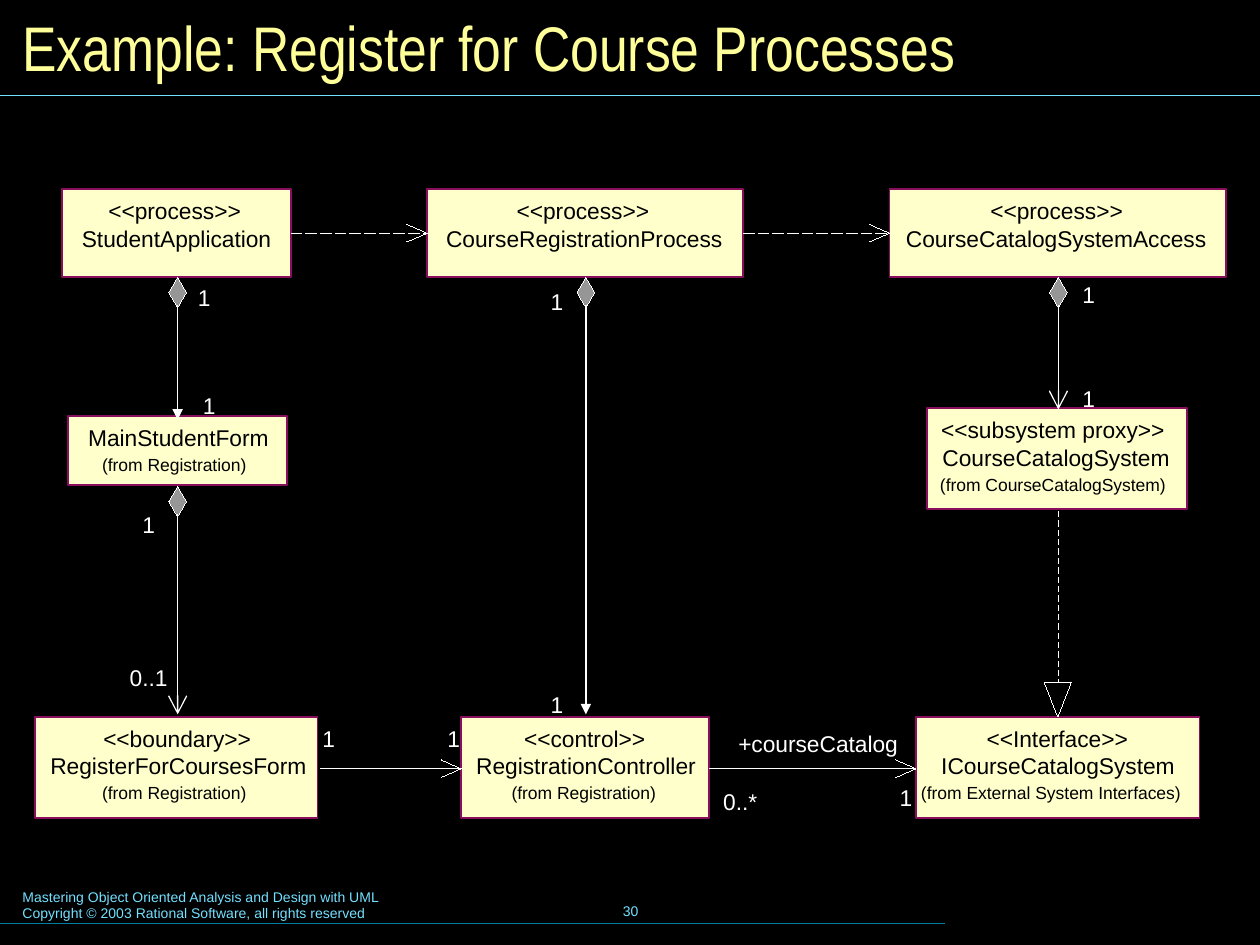
"""Build a UML process diagram slide for course registration."""
from pptx import Presentation
from pptx.dml.color import RGBColor
from pptx.enum.dml import MSO_LINE
from pptx.enum.shapes import MSO_CONNECTOR, MSO_SHAPE
from pptx.enum.text import MSO_ANCHOR, MSO_AUTO_SIZE, PP_ALIGN
from pptx.oxml.ns import qn
from pptx.util import Inches, Pt
from lxml import etree

RECT, DIAMOND, MERGE = MSO_SHAPE.RECTANGLE, MSO_SHAPE.DIAMOND, MSO_SHAPE.FLOWCHART_MERGE
STRAIGHT = MSO_CONNECTOR.STRAIGHT
DASH, LONG = MSO_LINE.DASH, MSO_LINE.LONG_DASH
TOP, MIDDLE = MSO_ANCHOR.TOP, MSO_ANCHOR.MIDDLE
LEFT, CENTER = PP_ALIGN.LEFT, PP_ALIGN.CENTER
GROW, FIXED = MSO_AUTO_SIZE.SHAPE_TO_FIT_TEXT, MSO_AUTO_SIZE.NONE

COLORS = {"back": "000000", "title": "FFFF99", "sky": "73E1FF", "teal": "007E9F",
          "box": "FFFFCC", "edge": "8A0E5E", "ink": "000000", "white": "FFFFFF",
          "gray": "969696"}

TITLE = "Example: Register for Course Processes"
FOOTER = ["Mastering Object Oriented Analysis and Design with UML",
          "Copyright © 2003 Rational Software, all rights reserved"]
PAGE = "30"

BOXES = [
    ((3.39, 1.5, 2.51, 0.7), [("<<process>>", 4.1, 1.05),
                              ("CourseRegistrationProcess", 3.54, 2.19)]),
    ((0.49, 1.5, 1.82, 0.7), [("<<process>>", 0.86, 1.05),
                              ("StudentApplication", 0.65, 1.5)]),
    ((7.36, 3.24, 2.06, 0.8), [("<<subsystem proxy>>", 7.47, 1.77),
                               ("CourseCatalogSystem", 7.48, 1.8),
                               ("(from CourseCatalogSystem)", 7.46, 1.79)]),
    ((0.28, 5.69, 2.24, 0.8), [("<<boundary>>", 0.82, 1.17),
                               ("RegisterForCoursesForm", 0.4, 2.03),
                               ("(from Registration)", 0.81, 1.15)]),
    ((0.54, 3.3, 1.74, 0.55), [("MainStudentForm", 0.7, 1.43),
                               ("(from Registration)", 0.81, 1.15)]),
    ((3.66, 5.69, 1.97, 0.8), [("<<control>>", 4.16, 0.96),
                               ("RegistrationController", 3.78, 1.74),
                               ("(from Registration)", 4.06, 1.15)]),
    ((7.27, 5.69, 2.25, 0.8), [("<<Interface>>", 7.83, 1.12),
                               ("ICourseCatalogSystem", 7.47, 1.85),
                               ("(from External System Interfaces)", 7.31, 2.06)]),
    ((7.06, 1.5, 2.67, 0.7), [("<<process>>", 7.86, 1.05),
                              ("CourseCatalogSystemAccess", 7.19, 2.38)]),
]
ONES = [(4.37, 2.28), (1.57, 2.25), (8.59, 3.05), (2.56, 5.75), (1.61, 3.11),
        (1.13, 4.05), (4.37, 5.48), (3.55, 5.75), (7.14, 6.22), (8.59, 2.23)]
LABELS = [("1", x, y, 0.1) for x, y in ONES] + [
    ("0..1", 1.03, 5.27, 0.3), ("0..*", 5.74, 6.25, 0.27),
    ("+courseCatalog", 5.86, 5.79, 1.27)]
LINKS = [(2.31, 3.39, 1.85, LONG), (5.9, 7.06, 1.85, LONG),
         (2.54, 3.66, 6.1, None), (5.63, 7.27, 6.1, None)]
OWNERS = [(1.41, 2.2, 3.33, "triangle"), (4.65, 2.2, 5.67, "triangle"),
          (1.41, 3.86, 5.67, "arrow"), (8.4, 2.2, 3.25, "arrow")]
HEADS = {"triangle": "med", "arrow": "lg"}
ROW, PAD, DROP, SLACK = 0.22, 0.06, 0.02, 0.1


def rgb(name):
    return RGBColor.from_string(COLORS[name])


def put_text(slide, lines, x, y, w, h, size=13, color="white", font="Arial",
             align=LEFT, anchor=TOP, inset=(0, 0), fit=GROW):
    frame = slide.shapes.add_textbox(*map(Inches, (x, y, w, h))).text_frame
    frame.margin_left = frame.margin_right = Inches(inset[0])
    frame.margin_top = frame.margin_bottom = Inches(inset[1])
    frame.word_wrap, frame.auto_size = True, fit
    frame.vertical_anchor = anchor
    for i, line in enumerate(lines):
        para = frame.paragraphs[0] if i == 0 else frame.add_paragraph()
        para.alignment = align
        run = para.add_run()
        run.text = line
        run.font.name, run.font.size = font, Pt(size)
        run.font.color.rgb = rgb(color)


def set_line(shape, color, width):
    shape.line.color.rgb = rgb(color)
    edge = shape._element.spPr.find(qn("a:ln"))
    edge.set("w", str(int(Pt(width))))
    return edge


def put_shape(slide, kind, spot, fill, edge, width):
    shape = slide.shapes.add_shape(kind, *map(Inches, spot))
    shape.shadow.inherit = False
    if fill:
        shape.fill.solid()
        shape.fill.fore_color.rgb = rgb(fill)
    else:
        shape.fill.background()
    set_line(shape, edge, width)


def put_line(slide, start, end, color="white", width=0, dash=None, head=None):
    line = slide.shapes.add_connector(STRAIGHT, *map(Inches, start + end))
    edge = set_line(line, color, width)
    if dash:
        line.line.dash_style = dash
    if head:
        size = HEADS[head]
        etree.SubElement(edge, qn("a:tailEnd"), type=head, w=size, len=size)
    etree.SubElement(line._element.spPr, qn("a:effectLst"))


def put_box(slide, spot, lines):
    put_shape(slide, RECT, spot, "box", "edge", 1)
    for i, (text, x, w) in enumerate(lines):
        small = text.startswith("(")
        size, high, drop = (10, 0.17, DROP) if small else (13, 0.22, 0)
        put_text(slide, [text], x, spot[1] + PAD + i * ROW + drop, w + SLACK,
                 high, size=size, color="ink")


def main():
    deck = Presentation()
    deck.slide_width, deck.slide_height = Inches(10), Inches(7.5)
    slide = deck.slides.add_slide(deck.slide_layouts[6])
    slide.background.fill.solid()
    slide.background.fill.fore_color.rgb = rgb("back")

    edge = (0.1, 0.05)
    put_text(slide, FOOTER, 0.08, 7, 5.1, 0.37, size=8, color="sky", inset=edge)
    put_text(slide, [PAGE], 3.42, 6.98, 3.17, 0.5, size=8, color="sky",
             align=CENTER, anchor=MIDDLE, inset=edge, fit=FIXED)
    put_line(slide, (0, 7.33), (7.5, 7.33), "teal", 0.75)
    put_line(slide, (0, 0.76), (10, 0.76), "sky", 0.75)
    put_text(slide, [TITLE], 0.08, 0.08, 9.84, 0.58, size=36, color="title",
             font="Arial Narrow", anchor=MIDDLE, inset=edge, fit=FIXED)

    for spot, lines in BOXES:
        put_box(slide, spot, lines)
    for text, x, y, w in LABELS:
        put_text(slide, [text], x, y, w + SLACK, 0.22)
    for x, tip, y, dash in LINKS:
        put_line(slide, (x, y), (tip, y), dash=dash)
        for rise in (0.07, -0.07):
            put_line(slide, (tip, y), (tip - 0.16, y + rise))
    for x, y, end, head in OWNERS:
        put_shape(slide, DIAMOND, (x - 0.07, y, 0.14, 0.24), "gray", "white", 0)
        put_line(slide, (x, y + 0.22), (x, end), width=0.75, head=head)
    put_line(slide, (8.4, 4.06), (8.4, 5.42), dash=DASH)
    put_shape(slide, MERGE, (8.29, 5.42, 0.21, 0.27), None, "white", 0)
    deck.save("out.pptx")


if __name__ == "__main__":
    main()
